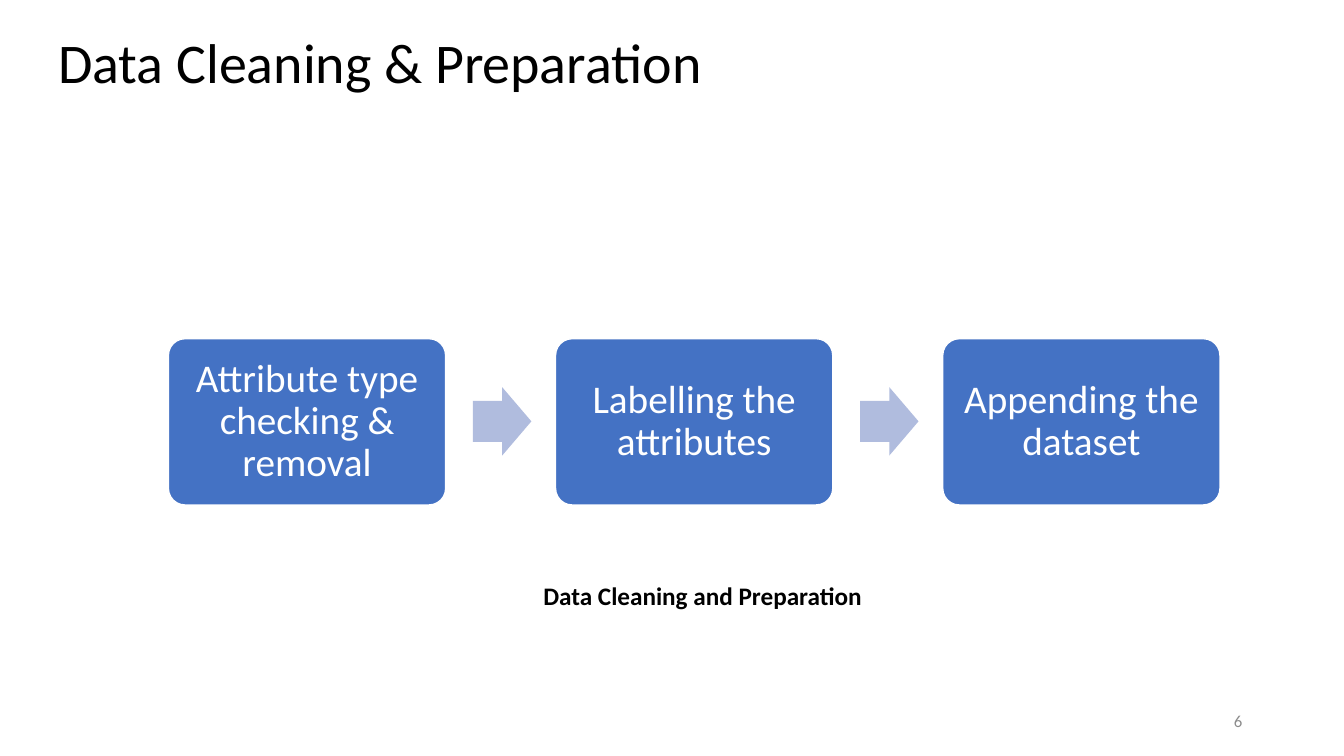
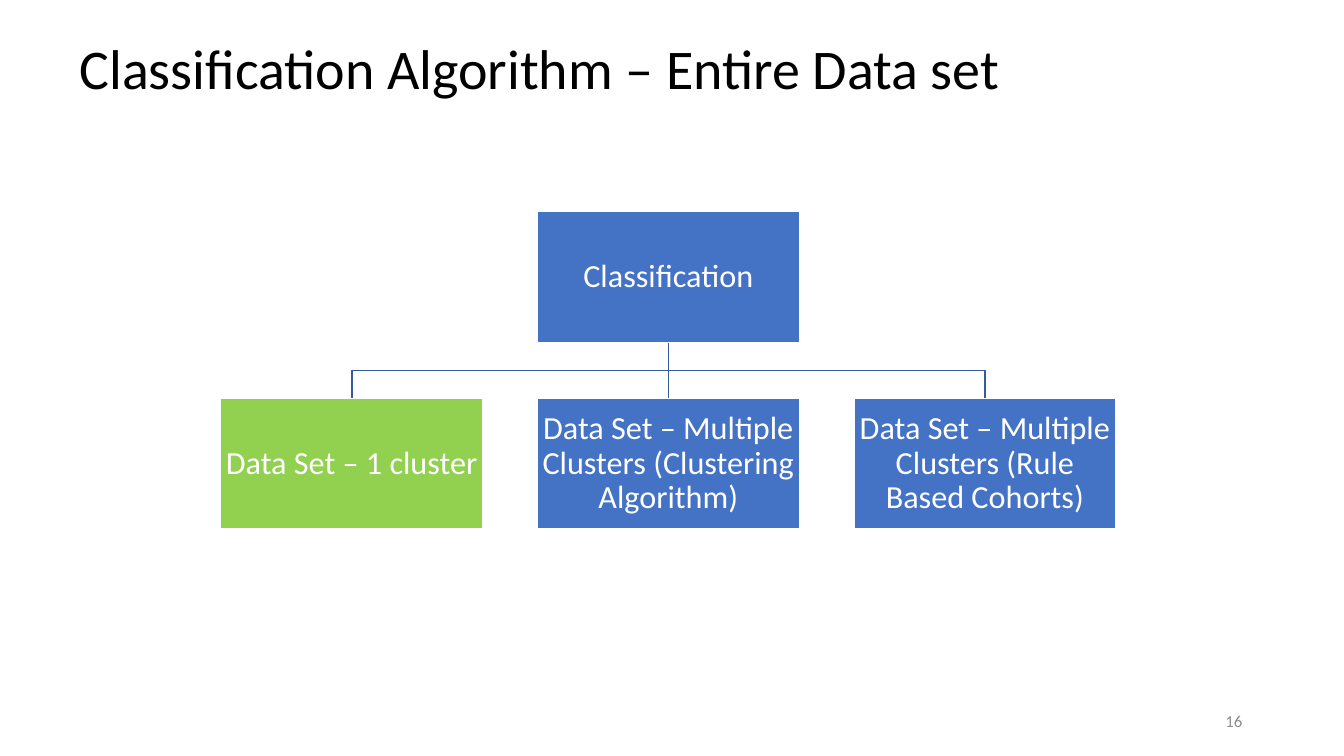
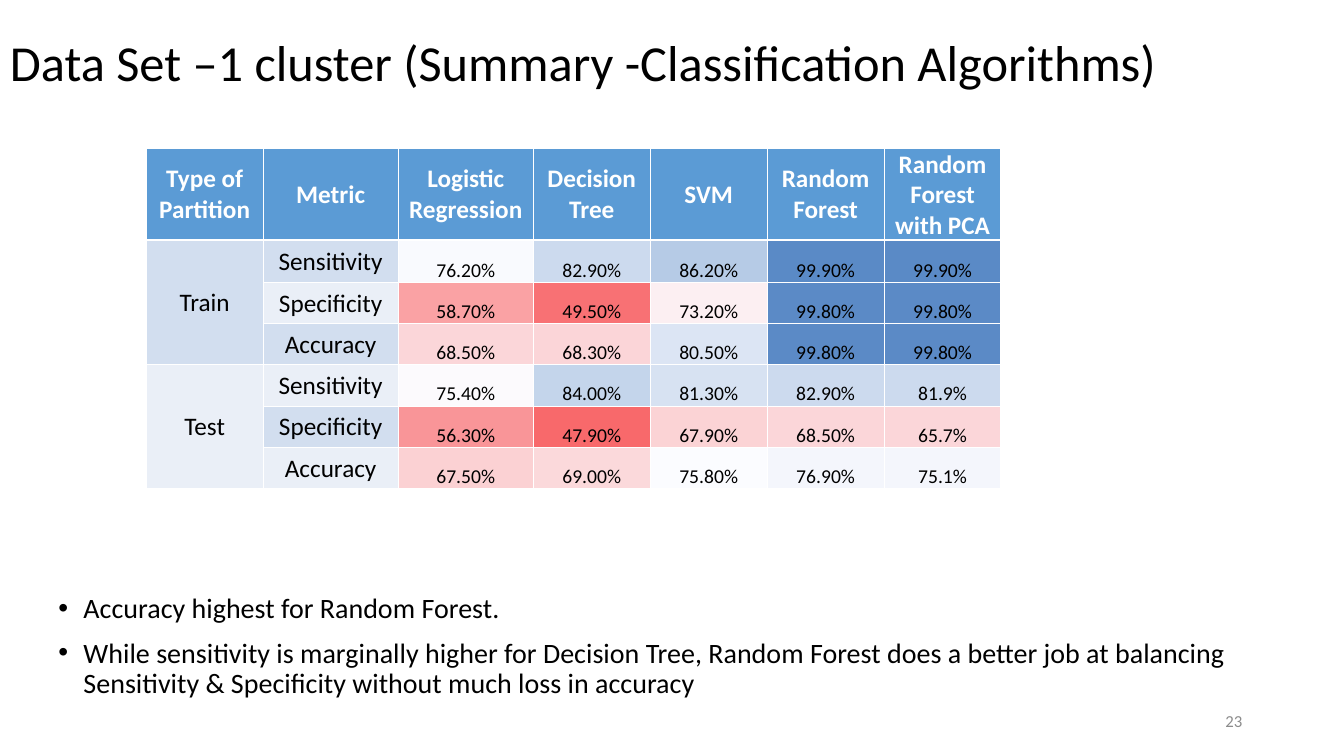
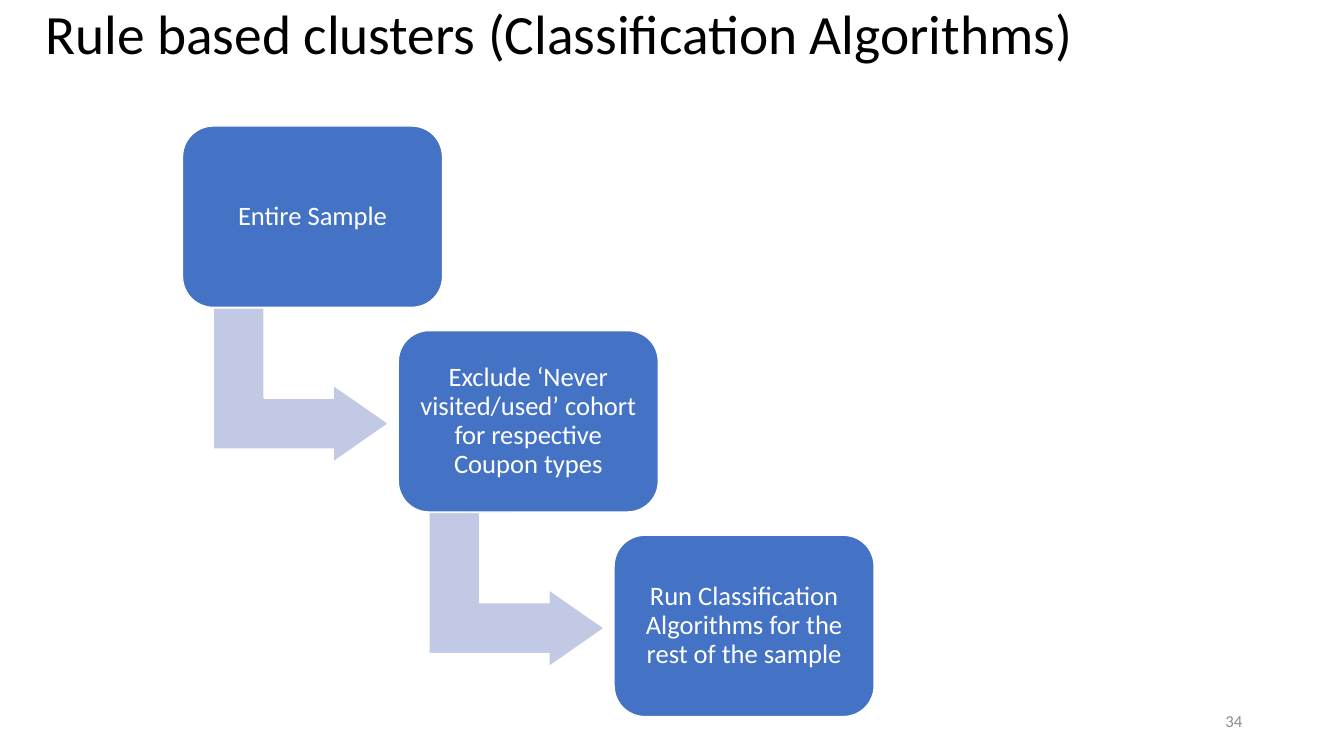
from lxml.etree import SubElement
from pptx import Presentation
from pptx.dml.color import RGBColor
from pptx.enum.shapes import MSO_CONNECTOR as Connector, MSO_SHAPE as Shape
from pptx.enum.text import MSO_ANCHOR as Anchor, PP_ALIGN as Align
from pptx.oxml.ns import qn
from pptx.util import Inches, Pt

FONT = "Calibri"
COLORS = {
    "white": "FFFFFF",
    "black": "000000",
    "number": "8C8C8C",
    "box": "4472C4",
    "chosen": "92D050",
    "branch": "365B9D",
    "step_arrow": "B0BCDE",
    "bent_arrow": "C1C9E4",
    "header": "5B9BD5",
    "band_dark": "D2DEEF",
    "band_light": "EAEFF7",
}
SCALE = [(47.9, "F8696B"), (75.7, "FCFCFF"), (99.9, "5A8AC6")]

STEPS = ["Attribute type checking & removal", "Labelling the attributes", "Appending the dataset"]
DATA_SETS = [
    ("Data Set – 1 cluster", "chosen"),
    ("Data Set – Multiple Clusters (Clustering Algorithm)", "box"),
    ("Data Set – Multiple Clusters (Rule Based Cohorts)", "box"),
]
HEADINGS = ["Type of Partition", "Metric", "Logistic Regression", "Decision Tree",
            "SVM", "Random Forest", "Random Forest with PCA"]
METRICS = ["Sensitivity", "Specificity", "Accuracy"]
RESULTS = {
    "Train": [
        ["76.20%", "82.90%", "86.20%", "99.90%", "99.90%"],
        ["58.70%", "49.50%", "73.20%", "99.80%", "99.80%"],
        ["68.50%", "68.30%", "80.50%", "99.80%", "99.80%"],
    ],
    "Test": [
        ["75.40%", "84.00%", "81.30%", "82.90%", "81.9%"],
        ["56.30%", "47.90%", "67.90%", "68.50%", "65.7%"],
        ["67.50%", "69.00%", "75.80%", "76.90%", "75.1%"],
    ],
}
FINDINGS = [
    "Accuracy highest for Random Forest.",
    "While sensitivity is marginally higher for Decision Tree, Random Forest does a better job at "
    "balancing Sensitivity & Specificity without much loss in accuracy",
]
COHORT_STEPS = [
    "Entire Sample",
    "Exclude ‘Never visited/used’ cohort for respective Coupon types",
    "Run Classification Algorithms for the rest of the sample",
]


def rgb(name):
    return RGBColor.from_string(COLORS.get(name, name))


def style_para(para, size, color="black", bold=False, align=Align.LEFT, spacing=None):
    para.alignment = align
    para.line_spacing = spacing
    for span in para.runs:
        span.font.name = FONT
        span.font.size = Pt(size)
        span.font.bold = bold
        span.font.color.rgb = rgb(color)


def add_text(slide, area, text, size, anchor=Anchor.TOP, **style):
    box = slide.shapes.add_textbox(*map(Inches, area))
    frame = box.text_frame
    frame.word_wrap = True
    frame.vertical_anchor = anchor
    frame.text = text
    for para in frame.paragraphs:
        style_para(para, size, **style)
    return frame


def add_slide(deck, title, area, number, size=40):
    slide = deck.slides.add_slide(deck.slide_layouts[6])
    add_text(slide, area, title, size, Anchor.MIDDLE, spacing=0.9)
    add_text(slide, (9.42, 6.95, 3, 0.4), str(number), 12, Anchor.MIDDLE,
             color="number", align=Align.RIGHT)
    return slide


def add_figure(slide, kind, area, fill, adjustments=(), outlined=True):
    figure = slide.shapes.add_shape(kind, *map(Inches, area))
    figure.shadow.inherit = False
    figure.fill.solid()
    figure.fill.fore_color.rgb = rgb(fill)
    if outlined:
        figure.line.color.rgb = rgb("white")
        figure.line.width = Pt(1)
    else:
        figure.line.fill.background()
    for index, value in enumerate(adjustments):
        figure.adjustments[index] = value
    return figure


def add_box(slide, kind, area, text, size, margin, fill="box", adjustments=()):
    box = add_figure(slide, kind, area, fill, adjustments)
    frame = box.text_frame
    frame.word_wrap = True
    frame.vertical_anchor = Anchor.MIDDLE
    frame.margin_left = frame.margin_right = Inches(margin)
    frame.margin_top = frame.margin_bottom = Inches(margin)
    frame.text = text
    style_para(frame.paragraphs[0], size, "white", align=Align.CENTER, spacing=0.9)
    return box


def style_branch(branch):
    branch.line.color.rgb = rgb("branch")
    branch.line.width = Pt(1)


def add_branch(slide, parent, child):
    start_x, start_y = parent.left + parent.width // 2, parent.top + parent.height
    end_x, end_y = child.left + child.width // 2, child.top
    if abs(start_x - end_x) < Inches(0.01):
        branch = slide.shapes.add_connector(Connector.STRAIGHT, start_x, start_y, end_x, end_y)
        branch.begin_connect(parent, 2)
        branch.end_connect(child, 0)
        SubElement(branch.line._get_or_add_ln().getparent(), qn("a:effectLst"))
    else:
        middle_y = (start_y + end_y) // 2
        builder = slide.shapes.build_freeform(start_x, start_y)
        builder.add_line_segments([(start_x, middle_y), (end_x, middle_y), (end_x, end_y)], close=False)
        branch = builder.convert_to_shape()
        branch.shadow.inherit = False
        branch.fill.background()
    style_branch(branch)


def scale_color(value):
    low, middle, high = SCALE
    (start, first), (end, last) = (low, middle) if value < middle[0] else (middle, high)
    share = (value - start) / (end - start)
    pairs = zip(RGBColor.from_string(first), RGBColor.from_string(last))
    return "".join(f"{round(a + (b - a) * share):02X}" for a, b in pairs)


def add_borders(cell, widths):
    properties = cell._tc.get_or_add_tcPr()
    for side, width in widths.items():
        line = SubElement(properties, qn(f"a:ln{side}"), w=str(Pt(width)))
        SubElement(SubElement(line, qn("a:solidFill")), qn("a:srgbClr"), val=COLORS["white"])


def fill_cell(cell, text, fill, size=18, color="black", bold=False, anchor=Anchor.MIDDLE,
              top=1, bottom=1):
    add_borders(cell, {"L": 1, "R": 1, "T": top, "B": bottom})
    cell.fill.solid()
    cell.fill.fore_color.rgb = rgb(fill)
    cell.vertical_anchor = anchor
    cell.margin_left = cell.margin_right = cell.margin_top = Inches(0.01)
    cell.margin_bottom = 0
    cell.text_frame.text = text
    style_para(cell.text_frame.paragraphs[0], size, color, bold, Align.CENTER)


def add_results_table(slide):
    widths = [1.16, 1.34, 1.34] + [1.16] * 4
    heights = [0.8, 0.42] + [0.41] * 5
    table = slide.shapes.add_table(len(heights), len(widths), Inches(1.45), Inches(1.47),
                                   Inches(sum(widths)), Inches(sum(heights))).table
    for column, width in zip(table.columns, widths):
        column.width = Inches(width)
    for row, height in zip(table.rows, heights):
        row.height = Inches(height)
    for column, heading in enumerate(HEADINGS):
        fill_cell(table.cell(0, column), heading, "header", color="white", bold=True, bottom=1.5)
    row = 1
    for partition, lines in RESULTS.items():
        table.cell(row, 0).merge(table.cell(row + len(lines) - 1, 0))
        for metric, values in zip(METRICS, lines):
            band = "band_dark" if row % 2 else "band_light"
            top = 1.5 if row == 1 else 1
            fill_cell(table.cell(row, 0), partition if metric == METRICS[0] else "", band, top=top)
            fill_cell(table.cell(row, 1), metric, band, top=top)
            shades = values[:4] + values[3:4]
            for column, (value, shade) in enumerate(zip(values, shades), start=2):
                fill_cell(table.cell(row, column), value, scale_color(float(shade.rstrip("%"))),
                          size=14, anchor=Anchor.BOTTOM, top=top)
            row += 1


def add_bullets(slide, area, items, size):
    frame = add_text(slide, area, "\n".join(items), size, spacing=0.9)
    for index, para in enumerate(frame.paragraphs):
        if index:
            para.space_before = Pt(10)
        properties = para._p.get_or_add_pPr()
        properties.set("marL", str(Inches(0.25)))
        properties.set("indent", str(Inches(-0.25)))
        SubElement(properties, qn("a:buFont"), typeface="Arial")
        SubElement(properties, qn("a:buChar"), char="•")


def build_preparation(deck):
    slide = add_slide(deck, "Data Cleaning & Preparation", (0.48, 0.15, 11.5, 1), 6)
    for index, step in enumerate(STEPS):
        left = 1.67 + 3.84 * index
        add_box(slide, Shape.ROUNDED_RECTANGLE, (left, 3.36, 2.75, 1.65), step, 28, 0.12,
                adjustments=[0.1])
        if index < len(STEPS) - 1:
            add_figure(slide, Shape.RIGHT_ARROW, (left + 3.02, 3.84, 0.58, 0.68), "step_arrow",
                       [0.6, 0.5], outlined=False)
    add_text(slide, (5.29, 5.71, 4.25, 0.4), "Data Cleaning and Preparation", 18, bold=True)


def build_classification(deck):
    slide = add_slide(deck, "Classification Algorithm – Entire Data set", (0.69, 0.21, 11.5, 1), 16)
    root = add_box(slide, Shape.RECTANGLE, (5.33, 2.1, 2.6, 1.3), "Classification", 23, 0.02)
    for index, (text, fill) in enumerate(DATA_SETS):
        child = add_box(slide, Shape.RECTANGLE, (2.19 + 3.14 * index, 3.95, 2.6, 1.3),
                        text, 23, 0.02, fill)
        add_branch(slide, root, child)


def build_summary(deck):
    slide = add_slide(deck, "Data Set –1 cluster (Summary -Classification Algorithms)",
                      (0, 0.15, 13.04, 1), 23, 36)
    add_results_table(slide)
    add_bullets(slide, (0.48, 5.85, 12.37, 1.05), FINDINGS, 20)


def build_rule_clusters(deck):
    slide = add_slide(deck, "Rule based clusters (Classification Algorithms)",
                      (0.35, 0, 12.64, 0.73), 34, 39.6)
    for index, step in enumerate(COHORT_STEPS):
        left, top = 1.81 + 2.14 * index, 1.25 + 2.03 * index
        if index < len(COHORT_STEPS) - 1:
            arrow = add_figure(slide, Shape.BENT_UP_ARROW, (left + 0.41, top + 1.7, 1.53, 1.74),
                               "bent_arrow", [0.33, 0.25, 0.36])
            arrow.rotation = 90
        add_box(slide, Shape.ROUNDED_RECTANGLE, (left, top, 2.58, 1.8), step, 19, 0.08,
                adjustments=[0.17])


def main():
    deck = Presentation()
    deck.slide_width, deck.slide_height = Inches(13.33), Inches(7.5)
    build_preparation(deck)
    build_classification(deck)
    build_summary(deck)
    build_rule_clusters(deck)
    deck.save("out.pptx")


if __name__ == "__main__":
    main()
